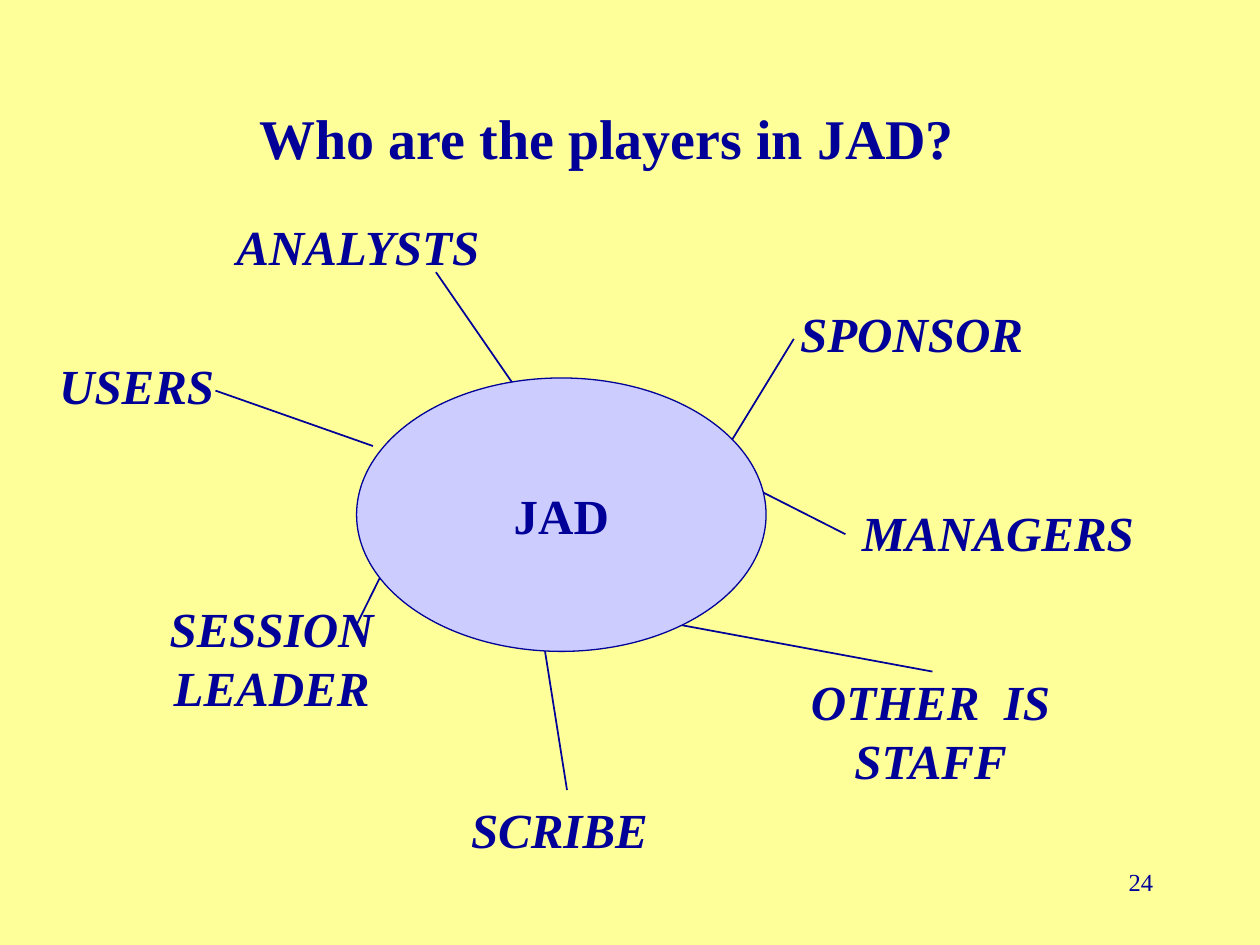
from dataclasses import dataclass

from lxml import etree
from pptx import Presentation
from pptx.dml.color import RGBColor
from pptx.enum.shapes import MSO_CONNECTOR, MSO_SHAPE
from pptx.enum.text import MSO_ANCHOR, PP_ALIGN
from pptx.oxml.ns import qn
from pptx.util import Inches, Pt

NAVY = RGBColor(0x00, 0x00, 0x99)
LAVENDER = RGBColor(0xCC, 0xCC, 0xFF)
CREAM = RGBColor(0xFF, 0xFF, 0x99)
FONT = "Times New Roman"
CENTER, RIGHT = PP_ALIGN.CENTER, PP_ALIGN.RIGHT
TOP, MIDDLE = MSO_ANCHOR.TOP, MSO_ANCHOR.MIDDLE
STRAIGHT, OVAL = MSO_CONNECTOR.STRAIGHT, MSO_SHAPE.OVAL

SLIDE_WIDTH, SLIDE_HEIGHT = Inches(10), Inches(7.5)
COLUMNS, ROWS = 100, 110
LINE_ROWS = 9.4
PADDING_ROWS = 2

HUB = (28.3, 30, 32.5, 43.4)
PLAYERS = [
    ("USERS", (3.7, 25.4, 14.3), (17.1, 32), (29.6, 40.8)),
    ("ANALYSTS", (17.7, 3.4, 21.4), (34.6, 13.2), (41.5, 33.2)),
    ("SCRIBE", (36.4, 96, 16), (45, 95.4), (43.1, 71.4)),
    ("SESSION \nLEADER", (12, 64, 19.1), (28.2, 69.6), (32.4, 52.6)),
    ("MANAGERS", (67.4, 48.8, 23.6), (67.1, 54.8), (60.4, 48)),
    ("SPONSOR", (62.5, 17.2, 19.7), (63, 23.8), (57.8, 40.8)),
    ("OTHER  IS \nSTAFF", (62.9, 75.6, 21.9), (74, 76.6), (54, 69.2)),
]


@dataclass
class Box:
    """A region of the slide, in slide units."""
    left: int
    top: int
    width: int
    height: int

    def point(self, column, row):
        """Return the slide position of a grid point in this region."""
        return (self.left + int(self.width * column / COLUMNS),
                self.top + int(self.height * row / ROWS))

    def area(self, column, row, columns, rows):
        """Return the position and size of a block of grid cells."""
        return (*self.point(column, row),
                int(self.width * columns / COLUMNS),
                int(self.height * rows / ROWS))


def write(shape, text, size, alignment=CENTER, anchor=TOP, wrap=False, bold=True, italic=False):
    """Fill a shape with text in the slide's typeface."""
    frame = shape.text_frame
    frame.text = text
    frame.word_wrap = wrap
    frame.vertical_anchor = anchor
    for paragraph in frame.paragraphs:
        paragraph.alignment = alignment
        for run in paragraph.runs:
            font = run.font
            font.name, font.size = FONT, Pt(size)
            font.bold, font.italic = bold, italic
            font.color.rgb = NAVY


def add_title(slide, box):
    """Place the heading across its region."""
    shape = slide.shapes.add_textbox(*box.area(0, 0, COLUMNS, ROWS))
    write(shape, "Who are the players in JAD?", 32, anchor=MIDDLE, wrap=True)


def add_spoke(slide, start, end):
    """Draw a plain line between two slide positions."""
    connector = slide.shapes.add_connector(STRAIGHT, *start, *end)
    connector.line.color.rgb = NAVY
    connector.line.width = Pt(1)
    etree.SubElement(connector._element.spPr, qn("a:effectLst"))


def add_diagram(slide, box):
    """Place the players and their spokes around the central hub."""
    for name, (column, row, columns), start, end in PLAYERS:
        rows = PADDING_ROWS + LINE_ROWS * len(name.split("\n"))
        label = slide.shapes.add_textbox(*box.area(column, row, columns, rows))
        write(label, name, 28, italic=True)
        add_spoke(slide, box.point(*start), box.point(*end))
    hub = slide.shapes.add_shape(OVAL, *box.area(*HUB))
    hub.shadow.inherit = False
    hub.fill.solid()
    hub.fill.fore_color.rgb = LAVENDER
    hub.line.color.rgb = NAVY
    hub.line.width = Pt(0.75)
    write(hub, "JAD", 28, anchor=MIDDLE)


def add_page_number(slide, box):
    """Place the page number at the right of its region."""
    shape = slide.shapes.add_textbox(*box.area(0, 0, COLUMNS, ROWS))
    write(shape, "24", 14, alignment=RIGHT, wrap=True, bold=False)


def main():
    """Build the slide and save it."""
    presentation = Presentation()
    presentation.slide_width, presentation.slide_height = SLIDE_WIDTH, SLIDE_HEIGHT
    slide = presentation.slides.add_slide(presentation.slide_layouts[6])
    slide.background.fill.solid()
    slide.background.fill.fore_color.rgb = CREAM
    add_title(slide, Box(Inches(0.57), Inches(0.46), Inches(8.5), Inches(1.25)))
    add_diagram(slide, Box(0, Inches(1.5), SLIDE_WIDTH, Inches(5.5)))
    add_page_number(slide, Box(Inches(7.17), Inches(6.83), Inches(2.08), Inches(0.5)))
    presentation.save("out.pptx")


if __name__ == "__main__":
    main()
